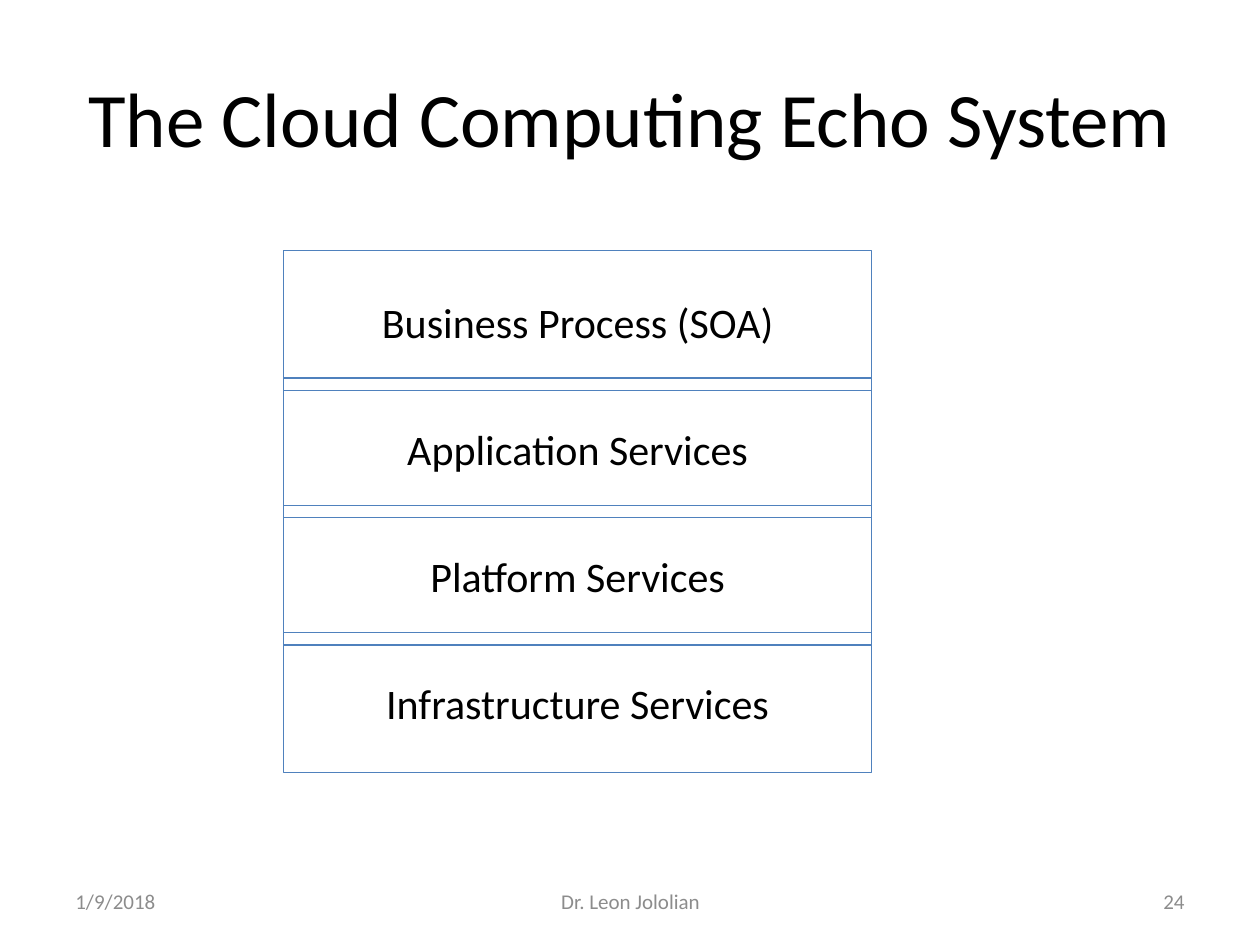
from pptx import Presentation
from pptx.dml.color import RGBColor
from pptx.enum.shapes import MSO_SHAPE
from pptx.enum.text import MSO_ANCHOR, PP_ALIGN as AL
from pptx.util import Inches, Pt

BLACK = RGBColor(0x00, 0x00, 0x00)
GRAY = RGBColor(0x8C, 0x8C, 0x8C)
BLUE = RGBColor(0x4F, 0x81, 0xBD)


class Deck:
    """Holds the style and the current slide."""
    font = "Calibri"

    def __init__(self, prs):
        self.s = prs.slides.add_slide(prs.slide_layouts[5])

    def add_text(self, sp, text, size, color, align, anchor):
        tf = sp.text_frame
        tf.word_wrap = True
        tf.vertical_anchor = anchor
        p = tf.paragraphs[0]
        p.alignment = align
        r = p.add_run()
        r.text = text
        r.font.name = self.font
        r.font.size = Pt(size)
        r.font.color.rgb = color

    def title(self, text, x, y, w, h):
        sp = self.s.shapes.title
        sp.left, sp.top, sp.width, sp.height = map(Inches, (x, y, w, h))
        self.add_text(sp, text, 44, BLACK, AL.CENTER, MSO_ANCHOR.MIDDLE)

    def footer(self, text, x, w, align):
        sp = self.s.shapes.add_textbox(Inches(x), Inches(6.95), Inches(w), Inches(0.4))
        self.add_text(sp, text, 12, GRAY, align, MSO_ANCHOR.MIDDLE)

    def layer(self, text, x, y, w, h):
        sp = self.s.shapes.add_shape(
            MSO_SHAPE.RECTANGLE, Inches(x), Inches(y), Inches(w), Inches(h))
        sp.shadow.inherit = False
        sp.fill.background()
        sp.line.color.rgb = BLUE
        sp.line.width = Pt(0.75)
        sp.text_frame.margin_top = Inches(0.36)
        self.add_text(sp, text, 24, BLACK, AL.CENTER, MSO_ANCHOR.TOP)


prs = Presentation()
prs.slide_width, prs.slide_height = Inches(10), Inches(7.5)
deck = Deck(prs)

# Title
deck.title("The Cloud Computing Echo System", 0.5, 0.3, 9, 1.25)

# Footer: date, author, slide number
deck.footer("1/9/2018", 0.5, 2.33, AL.LEFT)
deck.footer("Dr. Leon Jololian", 3.42, 3.17, AL.CENTER)
deck.footer("24", 7.17, 2.33, AL.RIGHT)

# Service layers, stacked from the bottom up with a slight overlap
LAYERS = ["Infrastructure Services", "Platform Services",
          "Application Services", "Business Process (SOA)"]
BOTTOM_TOP, PITCH = 5.02, 1.01
for i, name in enumerate(LAYERS):
    deck.layer(name, 2.25, BOTTOM_TOP - i * PITCH, 4.67, 1.11)

prs.save("out.pptx")
